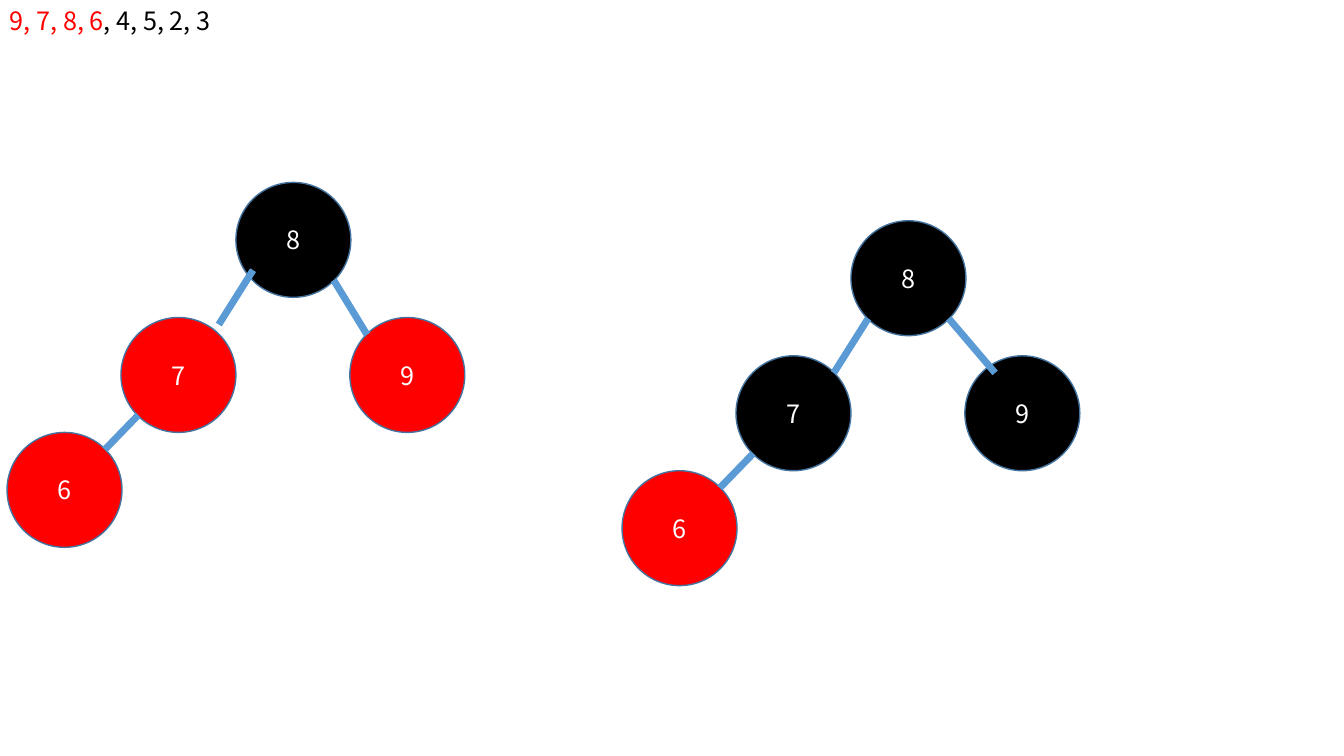
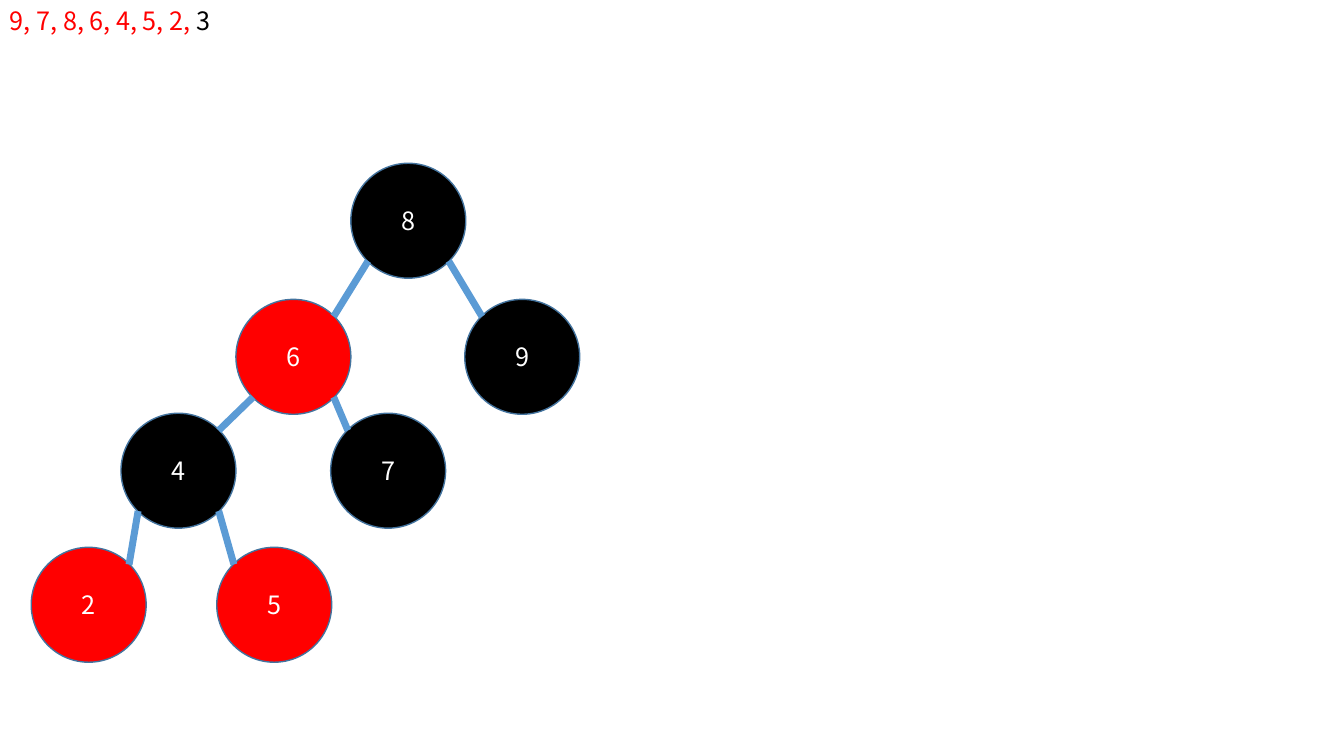
from lxml import etree
from pptx import Presentation
from pptx.dml.color import RGBColor
from pptx.enum.shapes import MSO_CONNECTOR as CONN, MSO_SHAPE as SHAPE
from pptx.enum.text import MSO_ANCHOR as ANCHOR, MSO_AUTO_SIZE as AUTO, PP_ALIGN as ALIGN
from pptx.oxml.ns import qn
from pptx.util import Inches, Pt

RED, BLACK, WHITE = "FF0000", "000000", "FFFFFF"
OUTLINE, EDGE = "43739E", "5B9BD5"
FONT = "Noto Sans CJK KR"
DIAMETER = 1.14
INSET = 0.17  # from the circle's bounding box to its diagonal points


def rgb(value):
    return RGBColor.from_string(value)


def add_text(p, text, color=BLACK, size=18, font=FONT):
    r = p.add_run()
    r.text = text
    r.font.name, r.font.size = font, Pt(size)
    r.font.color.rgb = rgb(color)


class Deck:
    """Holds the presentation, its style and the current slide."""

    def __init__(self):
        self.prs = Presentation()
        self.prs.slide_width, self.prs.slide_height = Inches(13.33), Inches(7.5)

    def new_slide(self):
        self.s = self.prs.slides.add_slide(self.prs.slide_layouts[6])

    def sequence(self, inserted, remaining):
        """Keys already inserted are red, the rest black."""
        sp = self.s.shapes.add_textbox(0, 0, Inches(5.92), Inches(0.4))
        tf = sp.text_frame
        tf.word_wrap, tf.auto_size = True, AUTO.SHAPE_TO_FIT_TEXT
        add_text(tf.paragraphs[0], inserted, color=RED)
        add_text(tf.paragraphs[0], remaining)

    def node(self, key, x, y, color):
        sp = self.s.shapes.add_shape(SHAPE.OVAL, Inches(x), Inches(y),
                                     Inches(DIAMETER), Inches(DIAMETER))
        sp.shadow.inherit = False
        sp.fill.solid()
        sp.fill.fore_color.rgb = rgb(color)
        sp.line.color.rgb, sp.line.width = rgb(OUTLINE), Pt(1)
        tf = sp.text_frame
        tf.vertical_anchor = ANCHOR.MIDDLE
        p = tf.paragraphs[0]
        p.alignment = ALIGN.CENTER
        add_text(p, str(key), color=WHITE)

    def edge(self, x1, y1, x2, y2):
        cxn = self.s.shapes.add_connector(CONN.STRAIGHT, Inches(x1), Inches(y1),
                                          Inches(x2), Inches(y2))
        cxn.line.color.rgb, cxn.line.width = rgb(EDGE), Pt(5)
        etree.SubElement(cxn._element.spPr, qn("a:effectLst"))

    def tree(self, places, red, edges, origin=(0, 0), nudges=None):
        """Draw nodes, then edges; nudges shift both ends of an edge."""
        places = {key: (x + origin[0], y + origin[1]) for key, (x, y) in places.items()}
        for key, (x, y) in places.items():
            self.node(key, x, y, RED if key in red else BLACK)
        far = DIAMETER - INSET
        for parent, child in edges:
            (px, py), (cx, cy) = places[parent], places[child]
            start, end = (INSET, far) if cx < px else (far, INSET)
            dx1, dy1, dx2, dy2 = (nudges or {}).get((parent, child), (0, 0, 0, 0))
            self.edge(px + start + dx1, py + far + dy1,
                      cx + end + dx2, cy + INSET + dy2)


def main():
    deck = Deck()

    # Inserting 6: before and after recolouring
    deck.new_slide()
    places = {8: (2.34, 1.81), 7: (1.2, 3.15), 9: (3.47, 3.15), 6: (0.07, 4.29)}
    edges = [(8, 7), (8, 9), (7, 6)]
    deck.tree(places, {7, 9, 6}, edges, nudges={(8, 7): (0, -0.1, 0, -0.1)})
    deck.tree(places, {6}, edges, origin=(6.1, 0.38), nudges={(8, 9): (0, 0, 0.13, 0)})
    deck.sequence("9, 7, 8, 6", ", 4, 5, 2, 3")

    # Tree after inserting 2
    deck.new_slide()
    places = {8: (3.48, 1.62), 6: (2.34, 2.97), 9: (4.61, 2.97), 4: (1.2, 4.1),
              7: (3.28, 4.1), 5: (2.15, 5.43), 2: (0.31, 5.43)}
    edges = [(8, 6), (8, 9), (6, 4), (6, 7), (4, 2), (4, 5)]
    deck.tree(places, {6, 5, 2}, edges)
    deck.sequence("9, 7, 8, 6, 4, 5, 2,", " 3")

    deck.prs.save("out.pptx")


if __name__ == "__main__":
    main()
